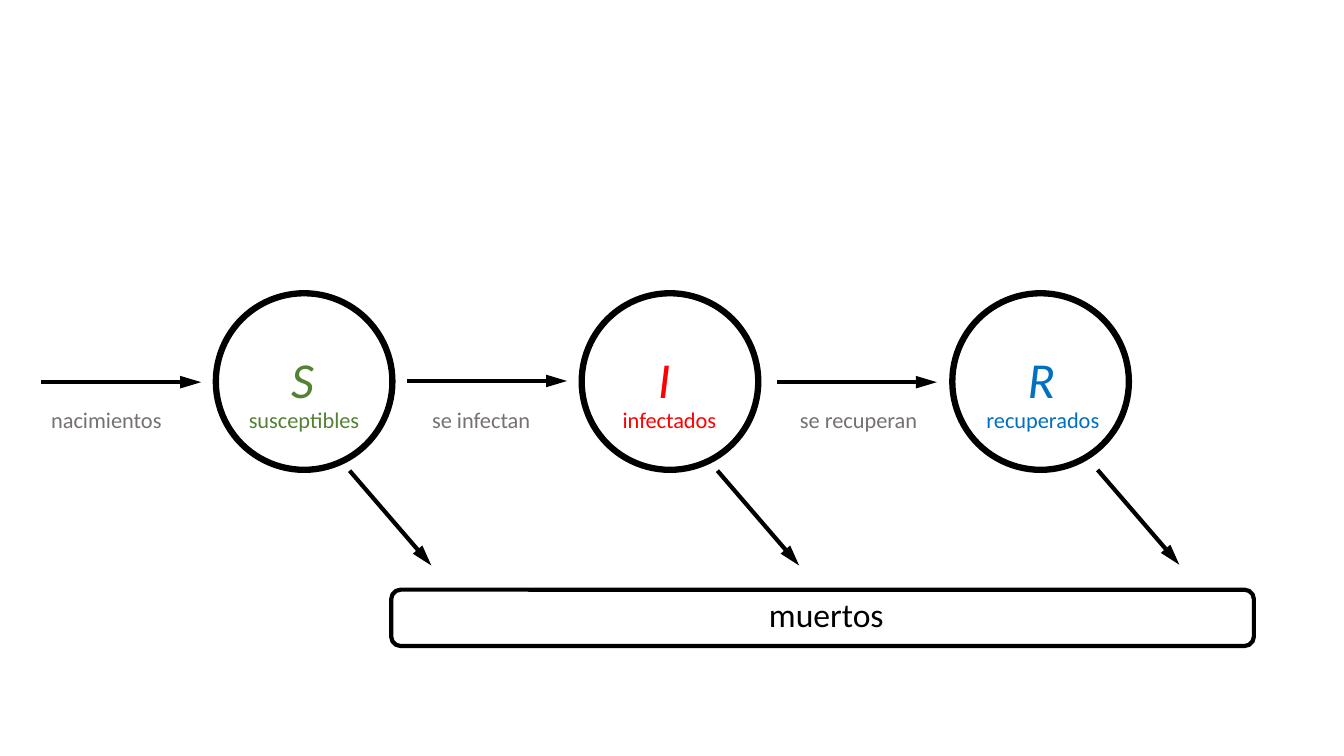
from lxml import etree
from pptx import Presentation
from pptx.dml.color import RGBColor
from pptx.enum.shapes import MSO_CONNECTOR, MSO_SHAPE
from pptx.enum.text import MSO_AUTO_SIZE
from pptx.oxml.ns import qn
from pptx.util import Cm, Pt

STRAIGHT = MSO_CONNECTOR.STRAIGHT
OVAL = MSO_SHAPE.OVAL
ROUNDED = MSO_SHAPE.ROUNDED_RECTANGLE
FIT_SHAPE = MSO_AUTO_SIZE.SHAPE_TO_FIT_TEXT

COLOURS = {
    "line": "000000",
    "label": "767171",
    "susceptible": "548235",
    "infected": "FF0000",
    "recovered": "0070C0",
}
FONT = "Calibri"
DIAMETER = 4.45
CIRCLE_TOP = 7.39
LETTER_TOP = 8.64
LABEL_TOP = 10.11
LABEL_WIDTH = 3.76
FLOW_LENGTH = 4.03
DEATH_RUN, DEATH_DROP = 2.06, 2.39

# letter, name, colour, circle left, letter left, letter width, name left, death arrow start
STATES = [
    ("S", "susceptibles", "susceptible", 5.44, 7.09, 1.09, 6.02, (8.81, 11.86)),
    ("I", "infectados", "infected", 14.66, 16.33, 0.84, 15.44, (18.08, 11.86)),
    ("R", "recuperados", "recovered", 24.0, 25.65, 1.22, 24.61, (27.66, 11.84)),
]
# label, label left, arrow left, arrow height on the page
FLOWS = [
    ("nacimientos", 1.04, 1.04, 9.63),
    ("se infectan", 10.64, 10.26, 9.6),
    ("se recuperan", 19.91, 19.58, 9.63),
]


def colour(name):
    return RGBColor.from_string(COLOURS[name])


def add_outline(page, kind, left, top, width, height, weight):
    """Add an unfilled preset shape with a black border."""
    shape = page.shapes.add_shape(kind, Cm(left), Cm(top), Cm(width), Cm(height))
    shape.shadow.inherit = False
    shape.fill.background()
    shape.line.color.rgb = colour("line")
    shape.line.width = Pt(weight)


def add_arrow(page, left, top, run, drop=0):
    arrow = page.shapes.add_connector(
        STRAIGHT, Cm(left), Cm(top), Cm(left + run), Cm(top + drop))
    arrow.line.color.rgb = colour("line")
    arrow.line.width = Pt(3)
    head = etree.SubElement(arrow.line._get_or_add_ln(), qn("a:tailEnd"))
    head.set("type", "triangle")
    head.set("w", "med")
    head.set("len", "lg")
    etree.SubElement(arrow._element.spPr, qn("a:effectLst"))


def add_text(page, text, left, top, width, height, size, tone, italic=False, wrap=True):
    box = page.shapes.add_textbox(Cm(left), Cm(top), Cm(width), Cm(height))
    frame = box.text_frame
    frame.word_wrap = wrap
    frame.auto_size = FIT_SHAPE
    span = frame.paragraphs[0].add_run()
    span.text = text
    span.font.name = FONT
    span.font.size = Pt(size)
    span.font.italic = italic
    span.font.color.rgb = colour(tone)


def add_label(page, text, left, tone):
    add_text(page, text, left, LABEL_TOP, LABEL_WIDTH, 0.94, 16, tone)


def add_state(page, letter, name, tone, circle_left, letter_left, letter_width,
              name_left, death_start):
    """Add a compartment circle with its texts and its arrow to the deaths."""
    add_outline(page, OVAL, circle_left, CIRCLE_TOP, DIAMETER, DIAMETER, 4.5)
    add_text(page, letter, letter_left, LETTER_TOP, letter_width, 1.8, 36, tone,
             italic=True, wrap=False)
    add_label(page, name, name_left, tone)
    add_arrow(page, *death_start, DEATH_RUN, DEATH_DROP)


def main():
    deck = Presentation()
    deck.slide_width, deck.slide_height = Cm(33.87), Cm(19.05)
    page = deck.slides.add_slide(deck.slide_layouts[6])
    for state in STATES:
        add_state(page, *state)
    for label, label_left, arrow_left, arrow_top in FLOWS:
        add_arrow(page, arrow_left, arrow_top, FLOW_LENGTH)
        add_label(page, label, label_left, "label")
    add_outline(page, ROUNDED, 9.86, 14.86, 21.74, 1.42, 3)
    add_text(page, "muertos", 19.13, 14.83, 3.43, 1.27, 24, "line", wrap=False)
    deck.save("out.pptx")


if __name__ == "__main__":
    main()
